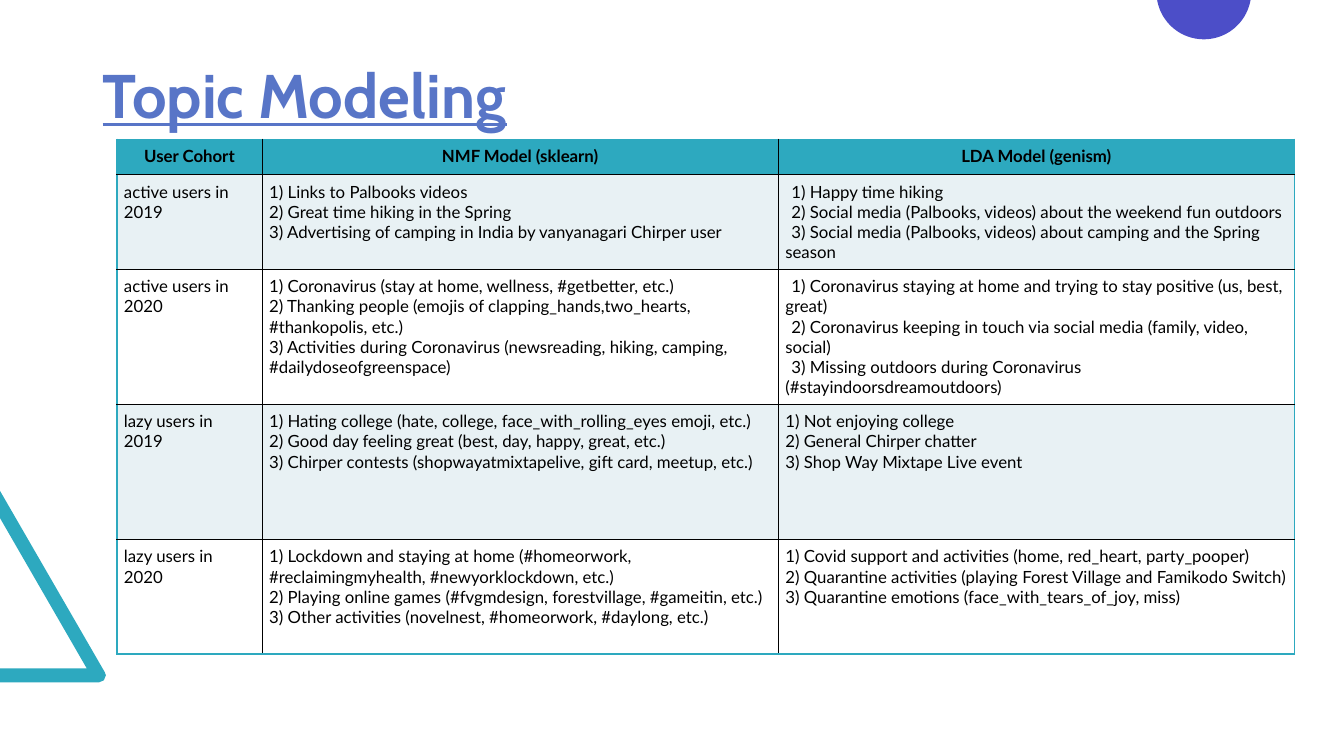
import math

from lxml import etree
from pptx import Presentation
from pptx.dml.color import RGBColor
from pptx.enum.text import MSO_ANCHOR, PP_ALIGN
from pptx.oxml.ns import qn
from pptx.util import Inches, Pt

CENTER = PP_ALIGN.CENTER
LEFT = PP_ALIGN.LEFT
MIDDLE = MSO_ANCHOR.MIDDLE

TEAL = RGBColor(0x2D, 0xA9, 0xBF)
INDIGO = RGBColor(0x4C, 0x4E, 0xC8)
TITLE_BLUE = RGBColor(0x58, 0x75, 0xC7)
PALE = RGBColor(0xE8, 0xF1, 0xF4)
WHITE = RGBColor(0xFF, 0xFF, 0xFF)
BLACK = RGBColor(0, 0, 0)

HEADER = ["User Cohort", "NMF Model (sklearn)", "LDA Model (genism)"]
COHORTS = [
    ("active users in 2019",
     ["Links to Palbooks videos",
      "Great time hiking in the Spring",
      "Advertising of camping in India by vanyanagari Chirper user"],
     ["Happy time hiking",
      "Social media (Palbooks, videos) about the weekend fun outdoors",
      "Social media (Palbooks, videos) about camping and the Spring season"]),
    ("active users in 2020",
     ["Coronavirus (stay at home, wellness, #getbetter, etc.)",
      "Thanking people (emojis of clapping_hands,two_hearts, #thankopolis, etc.)",
      "Activities during Coronavirus (newsreading, hiking, camping, "
      "#dailydoseofgreenspace)"],
     ["Coronavirus staying at home and trying to stay positive (us, best, great)",
      "Coronavirus keeping in touch via social media (family, video, social)",
      "Missing outdoors during Coronavirus (#stayindoorsdreamoutdoors)"]),
    ("lazy users in 2019",
     ["Hating college (hate, college, face_with_rolling_eyes emoji, etc.)",
      "Good day feeling great (best, day, happy, great, etc.)",
      "Chirper contests (shopwayatmixtapelive, gift card, meetup, etc.)"],
     ["Not enjoying college",
      "General Chirper chatter",
      "Shop Way Mixtape Live event"]),
    ("lazy users in 2020",
     ["Lockdown and staying at home (#homeorwork, #reclaimingmyhealth, "
      "#newyorklockdown, etc.)",
      "Playing online games (#fvgmdesign, forestvillage, #gameitin, etc.)",
      "Other activities (novelnest, #homeorwork, #daylong, etc.)"],
     ["Covid support and activities (home, red_heart, party_pooper)",
      "Quarantine activities (playing Forest Village and Famikodo Switch)",
      "Quarantine emotions (face_with_tears_of_joy, miss)"]),
]
COLUMN_WIDTHS = [1.44, 5.12, 5.12]
ROW_HEIGHTS = [0.35, 0.93, 1.34, 1.34, 1.14]


class TopicSlide:
    heading_font = "Cabin"
    body_font = "Lato"

    def __init__(self, slide):
        self.slide = slide

    def outline(self, points, color):
        start, *rest = [(Inches(x), Inches(y)) for x, y in points]
        builder = self.slide.shapes.build_freeform(*start)
        builder.add_line_segments(rest, close=True)
        figure = builder.convert_to_shape()
        figure.shadow.inherit = False
        figure.fill.solid()
        figure.fill.fore_color.rgb = color
        figure.line.fill.background()

    def add_text(self, paragraph, text, font, size, color, bold=False, underline=False):
        run = paragraph.add_run()
        run.text = text
        run.font.name = font
        run.font.size = Pt(size)
        run.font.color.rgb = color
        run.font.bold = bold
        run.font.underline = underline

    def title(self, text, left, top, width, height):
        box = self.slide.shapes.add_textbox(
            Inches(left), Inches(top), Inches(width), Inches(height))
        frame = box.text_frame
        frame.word_wrap = True
        frame.vertical_anchor = MIDDLE
        frame.paragraphs[0].line_spacing = 0.9
        self.add_text(frame.paragraphs[0], text, self.heading_font, 44, TITLE_BLUE,
                      bold=True, underline=True)

    def borders(self, cell, colors):
        properties = cell._tc.get_or_add_tcPr()
        for position, (side, color) in enumerate(zip("LRTB", colors)):
            line = etree.Element(qn(f"a:ln{side}"), w=str(Pt(1)))
            fill = etree.SubElement(line, qn("a:solidFill"))
            etree.SubElement(fill, qn("a:srgbClr"), val=str(color))
            properties.insert(position, line)

    def fill_cell(self, cell, lines, color, header=False, indent=0):
        cell.margin_left = cell.margin_right = Inches(0.07)
        cell.margin_top = cell.margin_bottom = Inches(0.07)
        cell.fill.solid()
        cell.fill.fore_color.rgb = color
        frame = cell.text_frame
        for number, text in enumerate(lines):
            paragraph = frame.add_paragraph() if number else frame.paragraphs[0]
            paragraph.alignment = CENTER if header else LEFT
            if indent:
                paragraph._p.get_or_add_pPr().set("indent", str(Inches(indent)))
            self.add_text(paragraph, text, self.body_font, 12, BLACK, bold=header)

    def table(self, rows, left, top):
        grid = self.slide.shapes.add_table(
            len(ROW_HEIGHTS), len(COLUMN_WIDTHS), Inches(left), Inches(top),
            Inches(sum(COLUMN_WIDTHS)), Inches(sum(ROW_HEIGHTS))).table
        grid.horz_banding = False
        for column, width in zip(grid.columns, COLUMN_WIDTHS):
            column.width = Inches(width)
        for row, height in zip(grid.rows, ROW_HEIGHTS):
            row.height = Inches(height)
        last_row, last_column = len(ROW_HEIGHTS) - 1, len(COLUMN_WIDTHS) - 1
        for r, row in enumerate(rows):
            band = TEAL if r == 0 else PALE if r % 2 else WHITE
            for c, lines in enumerate(row):
                cell = grid.cell(r, c)
                indent = 0.06 if c == last_column and r in (1, 2) else 0
                self.fill_cell(cell, lines, band, header=r == 0, indent=indent)
                outer = (c == 0, c == last_column, r == 0, r == last_row)
                self.borders(cell, [TEAL if edge else BLACK for edge in outer])


def numbered(topics):
    return [f"{number}) {topic}" for number, topic in enumerate(topics, 1)]


def main():
    deck = Presentation()
    deck.slide_width = Inches(13.33)
    deck.slide_height = Inches(7.5)
    page = TopicSlide(deck.slides.add_slide(deck.slide_layouts[6]))

    page.outline([(0, 6.77), (0, 6.63), (0.86, 6.63), (0, 5.14), (0, 4.87),
                  (1.04, 6.67), (1.05, 6.7), (1.03, 6.75), (0.98, 6.77)], TEAL)

    radius, center_x, center_y = 0.47, 11.94, -0.08
    first = math.asin(-center_y / radius)
    steps = 48
    angles = [first + (math.pi - 2 * first) * i / steps for i in range(steps + 1)]
    page.outline([(center_x + radius * math.cos(a), center_y + radius * math.sin(a))
                  for a in angles], INDIGO)

    page.title("Topic Modeling", 0.92, 0.4, 11.5, 1.15)
    rows = [[[label] for label in HEADER]]
    rows += [[[cohort], numbered(nmf), numbered(lda)] for cohort, nmf, lda in COHORTS]
    page.table(rows, 1.16, 1.38)
    deck.save("out.pptx")


if __name__ == "__main__":
    main()
